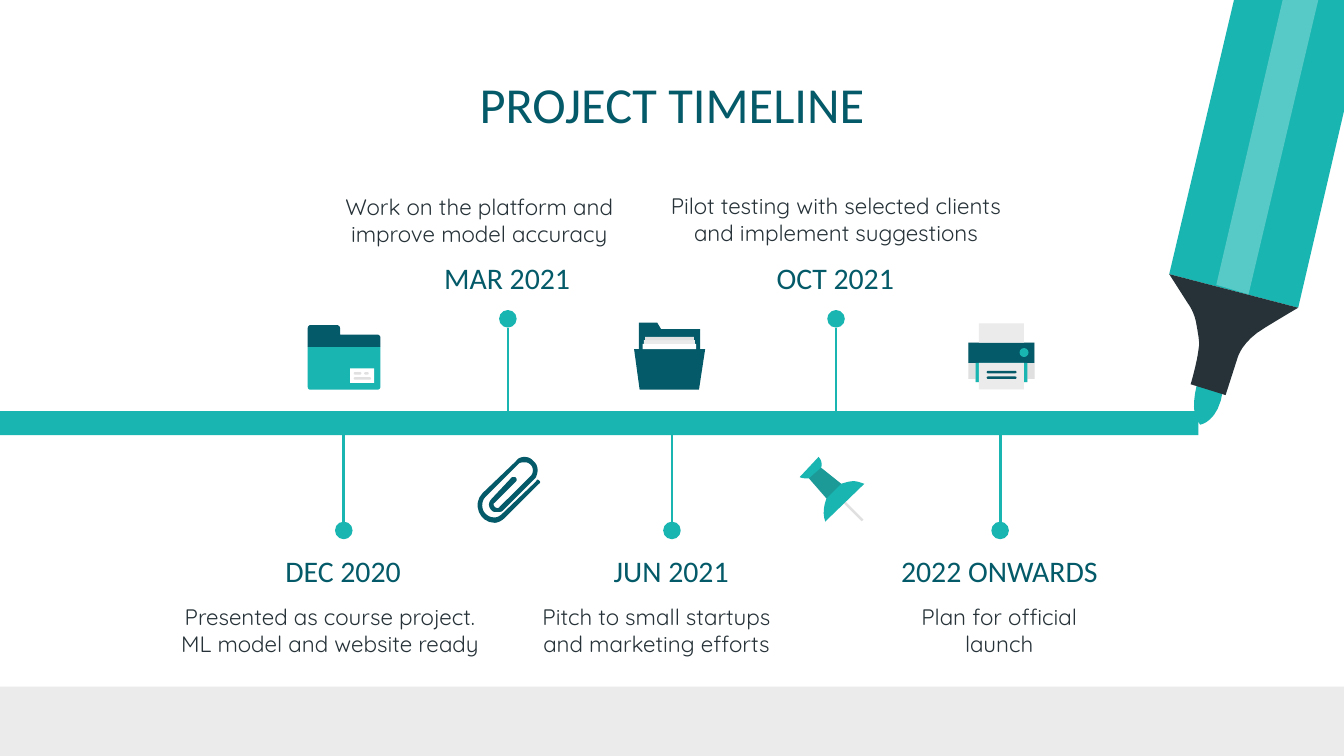
from lxml import etree
from pptx import Presentation
from pptx.dml.color import RGBColor
from pptx.enum.shapes import MSO_CONNECTOR, MSO_SHAPE
from pptx.enum.text import MSO_ANCHOR, PP_ALIGN
from pptx.oxml.ns import qn
from pptx.util import Pt

STRAIGHT = MSO_CONNECTOR.STRAIGHT
RECTANGLE = MSO_SHAPE.RECTANGLE
ROUNDED = MSO_SHAPE.ROUNDED_RECTANGLE
ELLIPSE = MSO_SHAPE.OVAL
TOP, MIDDLE = MSO_ANCHOR.TOP, MSO_ANCHOR.MIDDLE
CENTER = PP_ALIGN.CENTER

TEAL, PETROL, INK = "19B5B1", "045A68", "263238"
WHITE, LIGHT, GREY = "FFFFFF", "EBEBEB", "E0E0E0"
HEADING_FONT, BODY_FONT = "Calibri", "Quicksand"

FIRST_CENTER, STEP = 184.2, 87.9
AXIS = 227.5
DOT, STEM = 9.4, 52
CURVE_STEPS = 8

# date, description, description left, top and width, above the axis
MILESTONES = [
    ("DEC 2020", "Presented as course project. ML model and website ready", 85, 316.1, 183.6, False),
    ("MAR 2021", "Work on the platform and improve model accuracy", 165, 96.5, 183.6, True),
    ("JUN 2021", "Pitch to small startups and marketing efforts", 276.5, 316.1, 150.5, False),
    ("OCT 2021", "Pilot testing with selected clients and implement suggestions", 347.8, 95.8, 200.2, True),
    ("2022 ONWARDS", "Plan for official launch", 468.7, 316.1, 133.2, False),
]


def color(value):
    return RGBColor.from_string(value)


def paint(shape, fill, opacity=None):
    """Give a shape a plain fill, no outline and no shadow."""
    shape.shadow.inherit = False
    shape.line.fill.background()
    shape.fill.solid()
    shape.fill.fore_color.rgb = color(fill)
    if opacity is not None:
        fill_color = shape.fill._xPr.find(qn("a:solidFill"))[0]
        etree.SubElement(fill_color, qn("a:alpha")).set("val", str(opacity * 1000))


def add_preset(shapes, kind, left, top, width, height, fill):
    shape = shapes.add_shape(kind, Pt(left), Pt(top), Pt(width), Pt(height))
    paint(shape, fill)
    if kind == ROUNDED:
        shape.adjustments[0] = 0.5


def curve_points(start, curve):
    """Points along a cubic curve given by two controls and an end."""
    x1, y1, x2, y2, x3, y3 = curve
    for step in range(1, CURVE_STEPS + 1):
        t = step / CURVE_STEPS
        weights = ((1 - t) ** 3, 3 * t * (1 - t) ** 2, 3 * t * t * (1 - t), t ** 3)
        yield tuple(sum(weight * value for weight, value in zip(weights, values))
                    for values in ((start[0], x1, x2, x3), (start[1], y1, y2, y3)))


def add_outline(shapes, fill, segments, opacity=None):
    """Draw a closed outline; a pair is a corner, six numbers are a curve."""
    points = [segments[0]]
    for segment in segments[1:]:
        points.extend([segment] if len(segment) == 2 else curve_points(points[-1], segment))
    vertices = [(Pt(x), Pt(y)) for x, y in points]
    builder = shapes.build_freeform(*vertices[0])
    builder.add_line_segments(vertices[1:], close=True)
    paint(builder.convert_to_shape(), fill, opacity)


def add_line(shapes, x, start, end):
    line = shapes.add_connector(STRAIGHT, Pt(x), Pt(start), Pt(x), Pt(end))
    line.line.color.rgb = color(TEAL)
    line.line.width = Pt(1.5)
    etree.SubElement(line._element.spPr, qn("a:effectLst"))


def add_text(shapes, text, left, top, width, height, size=12, font=BODY_FONT, fill=INK, anchor=TOP):
    frame = shapes.add_textbox(Pt(left), Pt(top), Pt(width), Pt(height)).text_frame
    frame.word_wrap = True
    frame.vertical_anchor = anchor
    frame.margin_left = frame.margin_right = frame.margin_top = frame.margin_bottom = Pt(7.2)
    paragraph = frame.paragraphs[0]
    paragraph.alignment = CENTER
    run = paragraph.add_run()
    run.text = text
    run.font.size = Pt(size)
    run.font.name = font
    run.font.color.rgb = color(fill)


def add_marker(shapes):
    add_outline(shapes, TEAL, [(695.5, 164.9), (766.1, -138.2), (697, -151.9), (626.4, 146.9)])
    add_outline(shapes, TEAL, [
        (643, 227.5), (643, 227.5, 653, 226.1, 655.2, 208.8), (641.5, 205.2),
        (641.5, 205.2, 636.5, 221.8, 643, 227.5)])
    add_outline(shapes, INK, [
        (656.6, 211.7), (663.1, 191.5), (663.1, 191.5, 665.3, 182.9, 677.5, 175.7),
        (690.5, 167.8, 695.5, 164.9, 695.5, 164.9), (626.4, 146.9), (636.5, 162.7),
        (638.6, 165.6, 640.1, 169.2, 640.8, 172.8), (641.5, 177.1, 643, 183.6, 642.2, 186.5),
        (641.5, 193.7, 637.9, 205.9, 637.9, 205.9)])
    add_outline(shapes, WHITE, [(668.9, 157.7), (740.2, -143.3), (721.4, -146.9), (651.6, 152.6)], 27)


def add_closed_folder(shapes):
    add_outline(shapes, TEAL, [
        (164.9, 185.8), (164.9, 207.4), (164.9, 208.1, 165.6, 208.8, 166.3, 208.8),
        (202.3, 208.8), (203, 208.8, 203.8, 208.1, 203.8, 207.4), (203.8, 185.8)])
    add_outline(shapes, PETROL, [
        (180.7, 174.2), (166.3, 174.2), (165.6, 174.2, 164.9, 175, 164.9, 175.7),
        (164.9, 185.8), (203.8, 185.8), (203.8, 180.7), (203.8, 180, 203, 179.3, 202.3, 179.3),
        (182.2, 179.3), (182.2, 175.7), (182.2, 175, 181.4, 174.2, 180.7, 174.2)])
    add_preset(shapes, RECTANGLE, 187.6, 197.3, 12.9, 7.9, WHITE)
    for left, top, width in ((189.5, 199.4, 4.1), (195.1, 199.4, 2.4), (189.5, 202.1, 9.3)):
        add_preset(shapes, ROUNDED, left, top, width, 1.3, GREY)


def add_open_folder(shapes):
    add_outline(shapes, PETROL, [(339.7, 187), (342.7, 208.7), (374.5, 208.7), (377.8, 187)])
    add_outline(shapes, PETROL, [
        (342.2, 172.9), (342.2, 187.2), (375.1, 187.2), (375.1, 176.4), (354.2, 176.4), (352.1, 172.9)])
    add_preset(shapes, RECTANGLE, 344.3, 184.2, 28.7, 2.8, WHITE)
    add_preset(shapes, RECTANGLE, 344.9, 182.2, 27.4, 2, LIGHT)
    add_preset(shapes, RECTANGLE, 345.6, 180.5, 26.2, 1.7, GREY)


def add_printer(shapes):
    add_outline(shapes, GREY, [
        (518.8, 183.6), (518.8, 203), (522.7, 203), (522.7, 204.8), (524.4, 204.8), (524.4, 194.4),
        (548.6, 194.4), (548.6, 204.8), (550.4, 204.8), (550.4, 203), (554.2, 203), (554.2, 183.6)])
    add_preset(shapes, RECTANGLE, 518.8, 183.6, 35.4, 10.8, PETROL)
    add_preset(shapes, RECTANGLE, 522.7, 194.4, 27.7, 10.3, TEAL)
    add_preset(shapes, RECTANGLE, 524.4, 173.2, 24.2, 10.4, LIGHT)
    add_preset(shapes, RECTANGLE, 524.4, 194.4, 24.2, 14.2, LIGHT)
    for top in (198.7, 201.7):
        add_preset(shapes, ROUNDED, 528.6, top, 16, 1.3, PETROL)
    add_preset(shapes, ELLIPSE, 546.2, 186.5, 4.8, 4.8, TEAL)


def add_pin(shapes):
    add_outline(shapes, GREY, [(452.9, 268.6), (451.8, 269.4), (461.6, 279.3), (462.6, 278.4)])
    add_outline(shapes, TEAL, [
        (438.5, 244.8), (428.4, 255.6), (429.8, 256.3, 431.3, 256.3, 433.4, 256.3), (442.8, 267.1),
        (442.8, 267.1, 439.9, 273.6, 442.1, 279.4), (463, 259.2),
        (460.8, 258.5, 459.4, 257.8, 457.2, 257.8), (455, 257.8, 452.9, 258.5, 450.7, 259.2),
        (439.9, 250.6), (440.6, 248.4, 439.9, 246.2, 438.5, 244.8)])
    add_outline(shapes, INK, [(439.9, 250.6), (433.4, 256.3), (442.8, 267.1), (450.7, 259.2)], 20)


def add_paperclip(shapes):
    add_outline(shapes, PETROL, [
        (280.8, 244.8), (279.4, 244.8, 277.2, 245.5, 276.5, 247), (258.5, 264.2),
        (252.7, 270, 257, 280.1, 265, 280.1), (267.1, 280.1, 269.3, 278.6, 270.7, 277.2),
        (288.7, 259.2), (290.2, 258.5, 288.7, 257, 288, 257), (288, 257, 287.3, 257, 287.3, 257.8),
        (269.3, 275), (267.8, 276.5, 266.4, 277.2, 265, 277.2), (262.8, 277.2, 261.4, 276.5, 259.9, 275),
        (257.8, 272.9, 257.8, 268.6, 259.9, 266.4), (277.9, 248.4),
        (278.6, 247.7, 280.1, 247.7, 280.8, 247.7), (282.2, 247.7, 283, 247.7, 284.4, 249.1),
        (285.8, 250.6, 285.8, 253.4, 284.4, 254.9), (267.8, 271.4),
        (267.1, 272.2, 267.1, 272.2, 266.4, 272.2), (265, 272.2, 263.5, 270, 265, 269.3),
        (276.5, 257.8), (277.2, 257, 276.5, 255.6, 275.8, 255.6), (275, 255.6, 275, 255.6, 274.3, 255.6),
        (263.5, 267.1), (261.4, 269.3, 261.4, 271.4, 263.5, 273.6),
        (264.2, 274.3, 265, 274.3, 266.4, 274.3), (267.8, 274.3, 268.6, 274.3, 269.3, 273.6),
        (286.6, 256.3), (287.3, 255.6, 288, 253.4, 288, 252), (288, 249.8, 287.3, 248.4, 285.8, 247),
        (284.4, 245.5, 283, 244.8, 280.8, 244.8)])


def add_milestone(shapes, center, date, description, left, top, width, above):
    direction = -1 if above else 1
    stem_end = AXIS + direction * STEM
    add_line(shapes, center, AXIS, stem_end)
    dot_center = stem_end + direction * DOT / 2
    add_preset(shapes, ELLIPSE, center - DOT / 2, dot_center - DOT / 2, DOT, DOT, TEAL)
    add_text(shapes, date, center - 67, 131.8 if above else 288.7, 133.2, 25.2,
             size=16, font=HEADING_FONT, fill=PETROL)
    add_text(shapes, description, left, top, width, 40 if above else 35.3)


def main():
    presentation = Presentation()
    presentation.slide_width, presentation.slide_height = Pt(720), Pt(405)
    slide = presentation.slides.add_slide(presentation.slide_layouts[6])
    shapes = slide.shapes
    add_preset(shapes, RECTANGLE, 0, 367.9, 720, 37.1, LIGHT)
    add_preset(shapes, RECTANGLE, 0, 220.3, 642, 12.8, TEAL)
    add_text(shapes, "PROJECT TIMELINE", 56.7, 42.5, 606.6, 25.2,
             size=27, font=HEADING_FONT, fill=PETROL, anchor=MIDDLE)
    for add_drawing in (add_marker, add_closed_folder, add_open_folder, add_printer, add_pin):
        add_drawing(shapes.add_group_shape().shapes)
    add_paperclip(shapes)
    for index, milestone in enumerate(MILESTONES):
        add_milestone(shapes, FIRST_CENTER + index * STEP, *milestone)
    presentation.save("out.pptx")


if __name__ == "__main__":
    main()
